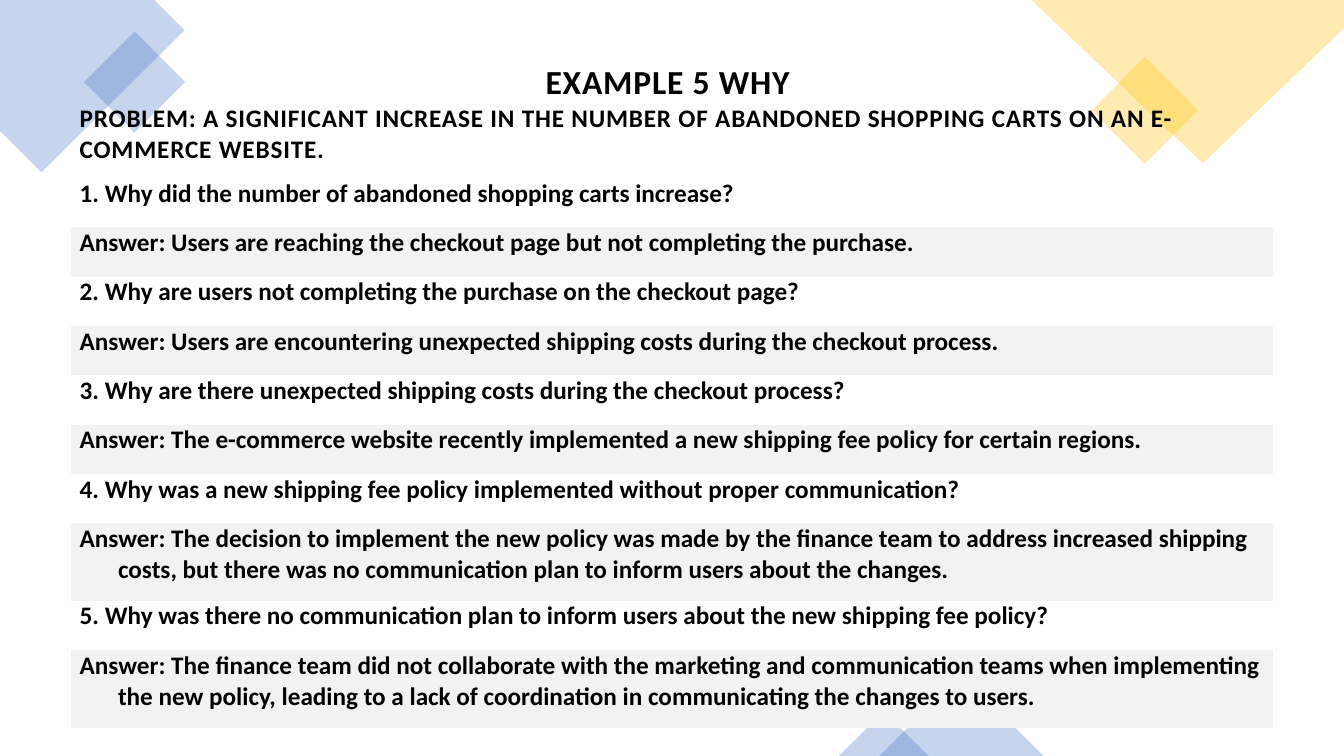
from dataclasses import dataclass

import pptx
import pptx.dml.color
import pptx.enum.shapes
import pptx.enum.text
import pptx.oxml.ns
import pptx.util
from lxml import etree

COLORS = {"blue": "4472C4", "gold": "FFC000", "band": "F2F2F2", "text": "000000"}
FONT = "Calibri"
OPACITY = 30  # percent
NO_STYLE = "{2D5ABB26-0587-4C30-8999-92F81FD0307C}"
SLIDE_W = pptx.util.Inches(13.33)
SLIDE_H = pptx.util.Inches(7.5)
MSO = pptx.enum.shapes.MSO_SHAPE
ALIGN = pptx.enum.text.PP_ALIGN
qn = pptx.oxml.ns.qn


@dataclass
class Corner:
    """Polygon with points in percent of the slide's width and height."""
    color: str
    points: list[tuple[float, float]]


@dataclass
class Ornament:
    """Preset shape in percent of the slide's width and height."""
    color: str
    kind: MSO
    left: float
    top: float
    width: float
    height: float
    rotation: float = 0


@dataclass
class Why:
    question: str
    answer: str
    answer_height: float


CORNERS = [
    Corner("blue", [(0, 0), (11.48, 0), (13.73, 4), (3.08, 22.8), (0, 17.33)]),
    Corner("gold", [(100, 0), (76.74, 0), (89.5, 21.6), (100, 3.73)]),
]
ORNAMENTS = [
    Ornament("blue", MSO.RECTANGLE, 7.35, 6.13, 5.33, 9.47, 315),
    Ornament("gold", MSO.RECTANGLE, 82.37, 9.6, 5.63, 10, 315),
    Ornament("blue", MSO.ISOSCELES_TRIANGLE, 65.42, 89.2, 12.23, 10.8),
    Ornament("blue", MSO.ISOSCELES_TRIANGLE, 62.42, 94.13, 6.68, 5.87),
]

TITLE = "EXAMPLE 5 WHY "
PROBLEM = ("PROBLEM: A SIGNIFICANT INCREASE IN THE NUMBER OF ABANDONED "
           "SHOPPING CARTS ON AN E-COMMERCE WEBSITE.")
HEADER_H, LINE_H, TWO_LINE_H = 15.47, 6.53, 10.27
WHYS = [
    Why("Why did the number of abandoned shopping carts increase?",
        "Users are reaching the checkout page but not completing the purchase.", LINE_H),
    Why("Why are users not completing the purchase on the checkout page?",
        "Users are encountering unexpected shipping costs during the checkout process.",
        LINE_H),
    Why("Why are there unexpected shipping costs during the checkout process?",
        "The e-commerce website recently implemented a new shipping fee policy "
        "for certain regions.", LINE_H),
    Why("Why was a new shipping fee policy implemented without proper communication?",
        "The decision to implement the new policy was made by the finance team to "
        "address increased shipping costs, but there was no communication plan to "
        "inform users about the changes.", TWO_LINE_H),
    Why("Why was there no communication plan to inform users about the new "
        "shipping fee policy?",
        "The finance team did not collaborate with the marketing and communication "
        "teams when implementing the new policy, leading to a lack of coordination "
        "in communicating the changes to users.", TWO_LINE_H),
]


def x(share: float) -> int:
    return round(SLIDE_W * share / 100)


def y(share: float) -> int:
    return round(SLIDE_H * share / 100)


def rgb(name: str) -> pptx.dml.color.RGBColor:
    return pptx.dml.color.RGBColor.from_string(COLORS[name])


def tint(sp, color: str) -> None:
    """Give a shape a translucent fill without outline or shadow."""
    sp.shadow.inherit = False
    sp.line.fill.background()
    sp.fill.solid()
    sp.fill.fore_color.rgb = rgb(color)
    clr = sp.fill._xPr.find(qn("a:solidFill"))[0]
    etree.SubElement(clr, qn("a:alpha")).set("val", str(OPACITY * 1000))


def draw_corner(s, corner: Corner) -> None:
    points = [(x(px), y(py)) for px, py in corner.points]
    builder = s.shapes.build_freeform(*points[0])
    builder.add_line_segments(points[1:], close=True)
    tint(builder.convert_to_shape(), corner.color)


def draw_ornament(s, o: Ornament) -> None:
    sp = s.shapes.add_shape(o.kind, x(o.left), y(o.top), x(o.width), y(o.height))
    sp.rotation = o.rotation
    tint(sp, o.color)


def write(p, text: str, size: float = 18, align=ALIGN.LEFT,
          spacing: float = 0, hanging: float = 0) -> None:
    r = p.add_run()
    r.text = text
    p.alignment = align
    p.font.name = FONT
    p.font.size = pptx.util.Pt(size)
    p.font.bold = True
    p.font.color.rgb = rgb("text")
    if spacing:
        r.font._element.set("spc", str(round(spacing * 100)))
    if hanging:
        pPr = p._p.get_or_add_pPr()
        pPr.set("marL", str(x(hanging)))
        pPr.set("indent", str(-x(hanging)))


def prepare_cell(cell, top: float = 0, banded: bool = False):
    """Set margins and fill, and return the cell's text frame."""
    cell.margin_left = cell.margin_right = x(0.68)
    cell.margin_top, cell.margin_bottom = y(top), y(1.73)
    if banded:
        cell.fill.solid()
        cell.fill.fore_color.rgb = rgb("band")
    else:
        cell.fill.background()
    return cell.text_frame


def draw_whys(s) -> None:
    heights = [HEADER_H]
    for why in WHYS:
        heights += [LINE_H, why.answer_height]
    table = s.shapes.add_table(len(heights), 1, x(5.25), y(6.53),
                               x(89.5), y(89.47)).table
    table._tbl.tblPr.find(qn("a:tableStyleId")).text = NO_STYLE
    table.first_row = table.horz_banding = False
    for row, height in zip(table.rows, heights):
        row.height = y(height)

    # Header: title and problem
    header = table.cell(0, 0)
    header.vertical_anchor = pptx.enum.text.MSO_ANCHOR.BOTTOM
    tf = prepare_cell(header, top=1.73)
    write(tf.paragraphs[0], TITLE, 24, ALIGN.CENTER, spacing=0.6)
    write(tf.add_paragraph(), PROBLEM, spacing=0.6)

    # Questions and banded answers
    for n, why in enumerate(WHYS, 1):
        tf = prepare_cell(table.cell(2 * n - 1, 0))
        write(tf.paragraphs[0], f"{n}. {why.question}")
        tf = prepare_cell(table.cell(2 * n, 0), banded=True)
        write(tf.paragraphs[0], f"Answer: {why.answer}", hanging=2.85)


def main() -> None:
    prs = pptx.Presentation()
    prs.slide_width, prs.slide_height = SLIDE_W, SLIDE_H
    s = prs.slides.add_slide(prs.slide_layouts.get_by_name("Blank"))
    for corner in CORNERS:
        draw_corner(s, corner)
    for ornament in ORNAMENTS:
        draw_ornament(s, ornament)
    draw_whys(s)
    prs.save("out.pptx")


if __name__ == "__main__":
    main()
